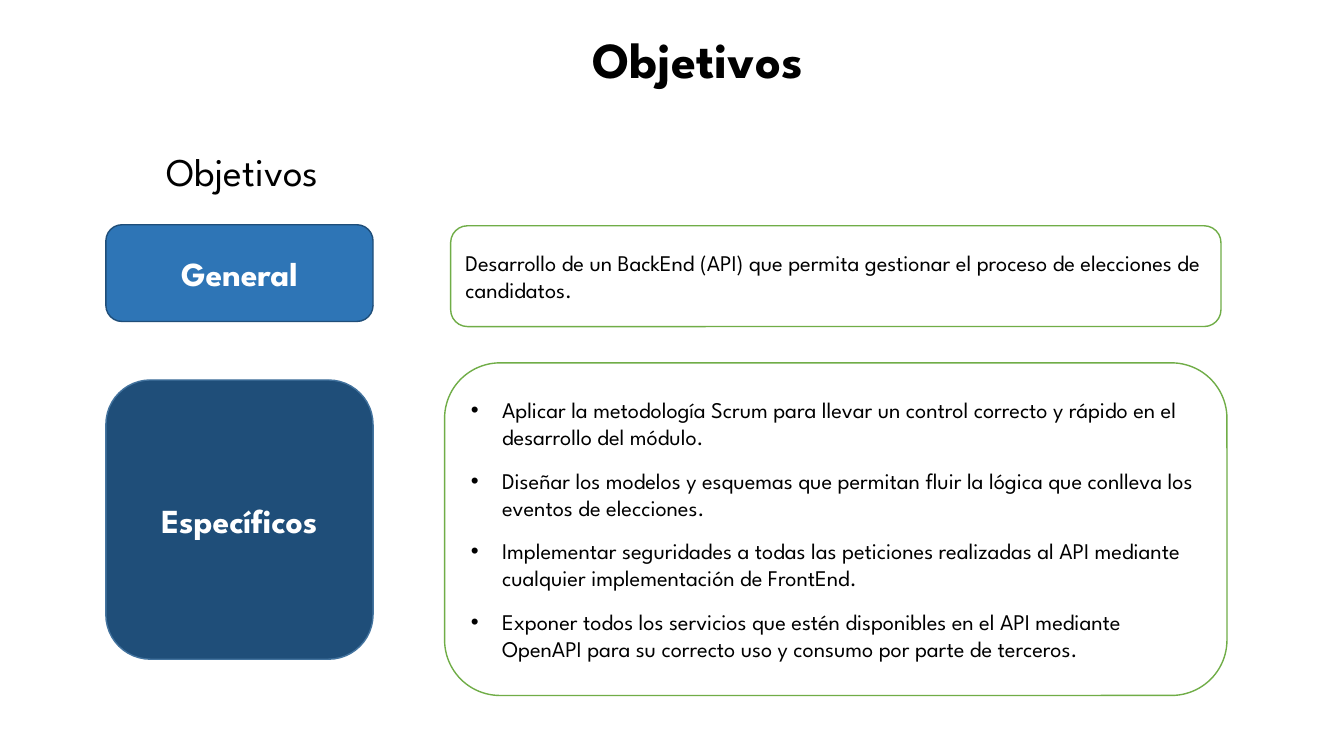
import dataclasses

import pptx
import pptx.dml.color
import pptx.enum.shapes
import pptx.enum.text
import pptx.util

PX = 9144  # EMU, 100 px to the inch
Align = pptx.enum.text.PP_ALIGN
Anchor = pptx.enum.text.MSO_ANCHOR


@dataclasses.dataclass(frozen=True)
class Theme:
    font: str = "League Spartan"
    black: str = "000000"
    white: str = "FFFFFF"
    blue: str = "2E75B6"
    navy: str = "1F4E79"
    steel: str = "43739E"
    green: str = "70AD47"
    title_size: int = 36
    subtitle_size: int = 28
    label_size: int = 24
    body_size: int = 16


THEME = Theme()

GENERAL = ("Desarrollo de un BackEnd (API) que permita gestionar el proceso "
           "de elecciones de candidatos.")
SPECIFIC = [
    "Aplicar la metodología Scrum para llevar un control correcto y rápido "
    "en el desarrollo del módulo.",
    "Diseñar los modelos y esquemas que permitan fluir la lógica que "
    "conlleva los eventos de elecciones.",
    "Implementar seguridades a todas las peticiones realizadas al API "
    "mediante cualquier implementación de FrontEnd.",
    "Exponer todos los servicios que estén disponibles en el API mediante "
    "OpenAPI para su correcto uso y consumo por parte de terceros.",
]


def rgb(code):
    return pptx.dml.color.RGBColor.from_string(code)


def emu(box):
    return [length * PX for length in box]


def place(shape, box):
    shape.left, shape.top, shape.width, shape.height = emu(box)


def write(shape, lines, size, color=THEME.black, bold=False,
          align=Align.LEFT, anchor=Anchor.MIDDLE):
    """Fill the shape with one paragraph per line and return the paragraphs."""
    frame = shape.text_frame
    frame.text = "\n".join(lines)
    frame.word_wrap = True
    frame.auto_size = pptx.enum.text.MSO_AUTO_SIZE.NONE
    frame.vertical_anchor = anchor
    for para in frame.paragraphs:
        para.alignment = align
        para.font.name = THEME.font
        para.font.size = pptx.util.Pt(size)
        para.font.bold = bold
        para.font.color.rgb = rgb(color)
    return frame.paragraphs


def add_panel(page, box, fill, line):
    panel = page.shapes.add_shape(
        pptx.enum.shapes.MSO_SHAPE.ROUNDED_RECTANGLE, *emu(box))
    panel.shadow.inherit = False
    panel.fill.solid()
    panel.fill.fore_color.rgb = rgb(fill)
    panel.line.color.rgb = rgb(line)
    panel.line.width = pptx.util.Pt(1)
    return panel


def add_heading(page, box):
    title = page.shapes.title
    place(title, box)
    write(title, ["Objetivos"], THEME.title_size, bold=True,
          align=Align.CENTER)


def add_subtitle(page, box):
    subtitle = page.shapes.add_textbox(*emu(box))
    para, = write(subtitle, ["Objetivos"], THEME.subtitle_size,
                  anchor=Anchor.TOP)
    para._p.get_or_add_pPr().set("marL", str(50 * PX))


def add_label(page, box, text, fill, line):
    label = add_panel(page, box, fill, line)
    write(label, [text], THEME.label_size, THEME.white, bold=True,
          align=Align.CENTER)


def add_general(page, box):
    panel = add_panel(page, box, THEME.white, THEME.green)
    write(panel, [GENERAL], THEME.body_size)


def add_specific(page, box):
    """Lay the bulleted body placeholder over a framed panel."""
    panel = add_panel(page, box, THEME.white, THEME.green)
    body = page.placeholders[1]
    left, top, width, height = box
    inset = 16
    place(body, (left + inset, top + inset,
                 width - 2 * inset, height - 2 * inset))
    panel._element.addnext(body._element)
    for para in write(body, SPECIFIC, THEME.body_size):
        para.space_before = pptx.util.Pt(12)
        properties = para._p.get_or_add_pPr()
        properties.set("marL", str(31 * PX))
        properties.set("indent", str(-31 * PX))


def add_objectives_page(deck):
    page = deck.slides.add_slide(deck.slide_layouts[1])
    add_heading(page, (131, 22, 1122, 71))
    add_subtitle(page, (105, 141, 1081, 104))
    add_label(page, (105, 223, 265, 96), "General", THEME.blue, THEME.navy)
    add_label(page, (105, 377, 265, 277), "Específicos",
              THEME.navy, THEME.steel)
    add_general(page, (447, 224, 764, 100))
    add_specific(page, (441, 360, 776, 330))


def main():
    deck = pptx.Presentation()
    deck.slide_width, deck.slide_height = emu((1333, 750))
    add_objectives_page(deck)
    deck.save("out.pptx")


if __name__ == "__main__":
    main()
